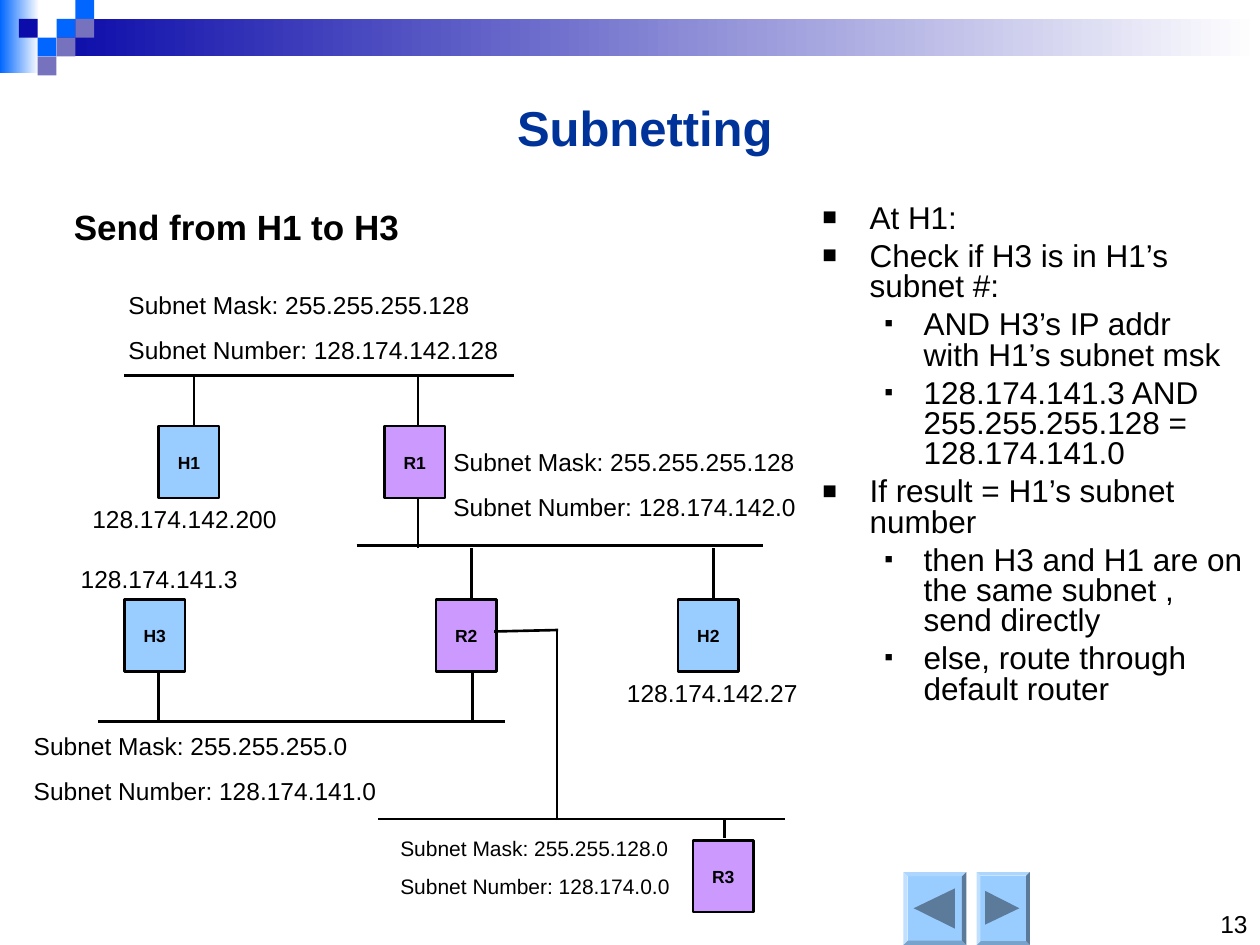
import pptx
import pptx.dml.color
import pptx.enum.shapes
import pptx.enum.text
import pptx.oxml
import pptx.oxml.ns
import pptx.util

Cm, Pt = pptx.util.Cm, pptx.util.Pt
KIND = pptx.enum.shapes.MSO_SHAPE
ALIGN = pptx.enum.text.PP_ALIGN
ANCHOR = pptx.enum.text.MSO_ANCHOR
HUES = {"ink": "000000", "title": "003399", "host": "99CCFF", "router": "CC99FF",
        "arrow": "5C7A99", "navy": "0C0CAA", "blue": "0066FF", "mauve": "7772BE",
        "white": "FFFFFF"}


def hue(name):
    return pptx.dml.color.RGBColor.from_string(HUES[name])


def apply(item, values):
    for key, value in values.items():
        setattr(item, key, value)


class Page:
    """The current slide and the style of what is put on it."""
    font = "Arial"
    line = Pt(1.5)

    def __init__(self, slide):
        self.slide = slide
        self.shapes = slide.shapes

    def label(self, frame, lines, size, color="ink", bold=False, **para):
        """Fill a text frame with one paragraph per line."""
        for i, line in enumerate(lines):
            p = frame.paragraphs[0] if i == 0 else frame.add_paragraph()
            p.text = line
            apply(p, para)
            for run in p.runs:
                apply(run.font, {"name": self.font, "size": Pt(size), "bold": bold})
                run.font.color.rgb = hue(color)

    def title(self, text, *box):
        shape = self.shapes.title
        apply(shape, dict(zip(("left", "top", "width", "height"), map(Cm, box))))
        shape.text_frame.vertical_anchor = ANCHOR.MIDDLE
        self.label(shape.text_frame, [text], 28, "title", True, alignment=ALIGN.CENTER)

    def text(self, lines, box, size=14, wrap=True, anchor=ANCHOR.TOP, **style):
        frame = self.shapes.add_textbox(*map(Cm, box)).text_frame
        apply(frame, {"word_wrap": wrap, "vertical_anchor": anchor})
        self.label(frame, lines, size, **style)
        return frame

    def shape(self, box, color, kind=KIND.RECTANGLE):
        shape = self.shapes.add_shape(kind, *map(Cm, box))
        shape.shadow.inherit = False
        shape.fill.solid()
        shape.fill.fore_color.rgb = hue(color)
        shape.line.fill.background()
        return shape

    def fade(self, box, color):
        """Draw a bar that fades to white on the right."""
        fill = self.shape(box, color).fill
        fill.gradient()
        fill.gradient_angle = 0
        for stop, name, place in zip(fill.gradient_stops, (color, "white"), (0, 1)):
            stop.color.rgb = hue(name)
            stop.position = place

    def node(self, name, x, y):
        shape = self.shape((x, y, 1.22, 1.45), "host" if name[0] == "H" else "router")
        shape.line.color.rgb = hue("ink")
        shape.line.width = self.line
        apply(shape.text_frame, {"word_wrap": False, "vertical_anchor": ANCHOR.MIDDLE})
        self.label(shape.text_frame, [name], 10, bold=True, alignment=ALIGN.CENTER)

    def wire(self, *ends):
        line = self.shapes.add_connector(pptx.enum.shapes.MSO_CONNECTOR.STRAIGHT,
                                         *map(Cm, ends))
        line.line.color.rgb = hue("ink")
        line.line.width = self.line
        props = line._element.spPr
        props.append(props.makeelement(pptx.oxml.ns.qn("a:effectLst"), {}))

    def button(self, box, points):
        """Draw a bevelled button with an arrowhead on it."""
        self.shape(box, "host", KIND.BEVEL).adjustments[0] = 0.07
        ends = [(Cm(x), Cm(y)) for x, y in points]
        build = self.shapes.build_freeform(*ends[0])
        build.add_line_segments(ends[1:])
        head = build.convert_to_shape()
        head.shadow.inherit = False
        head.fill.solid()
        head.fill.fore_color.rgb = hue("arrow")
        head.line.fill.background()

    def bullets(self, items, box):
        """Set (level, text) pairs as a two-level list."""
        frame = self.text([text for _, text in items], box, 18,
                          line_spacing=0.8, space_before=Pt(4.5))
        for (level, _), p in zip(items, frame.paragraphs):
            left, hang, size = ((0.97, 0.97, 150), (2.06, 0.79, 80))[level]
            p.level = level
            props = p._p.get_or_add_pPr()
            props.set("marL", str(Cm(left)))
            props.set("indent", str(-Cm(hang)))
            for tag in (f'buClr {{}}><a:srgbClr val="{HUES["ink"]}"/></a:buClr>',
                        f'buSzPct {{}} val="{size * 1000}"/>',
                        f'buFont {{}} typeface="{self.font}"/>',
                        'buChar {} char="▪"/>'):
                xml = "<a:" + tag.format(pptx.oxml.ns.nsdecls("a"))
                props.append(pptx.oxml.parse_xml(xml))


def main():
    deck = pptx.Presentation()
    apply(deck, {"slide_width": Cm(25.4), "slide_height": Cm(19.05)})
    page = Page(deck.slides.add_slide(deck.slide_layouts[5]))

    # Header band and its checkered squares
    page.fade((0, 0, 0.79, 1.47), "blue")
    page.fade((1.14, 0.38, 24.26, 0.76), "navy")
    side = 0.38
    for col, row, color in ((3, 1, "blue"), (4, 0, "blue"), (4, 1, "mauve"),
                            (2, 2, "blue"), (1, 1, "navy"), (3, 2, "mauve"),
                            (2, 3, "mauve")):
        page.shape((col * side, row * side, side, side), color)

    page.button((18.21, 17.58, 1.27, 1.47),
                ((18.42, 18.31), (19.25, 17.91), (19.25, 18.72)))
    page.button((19.69, 17.58, 1.07, 1.47),
                ((19.86, 17.96), (20.55, 18.31), (19.86, 18.64)))
    page.text(["13"], (20.96, 17.78, 4.44, 1.27), anchor=ANCHOR.BOTTOM,
              alignment=ALIGN.RIGHT)
    page.title("Subnetting", 1.47, 1.83, 23.06, 1.45)
    page.text(["Send from H1 to H3"], (1.24, 4.01, 7.06, 1.12), 20, False, bold=True,
              alignment=ALIGN.CENTER, space_before=Pt(12.5))

    for name, x, y in (("H1", 3.2, 8.59), ("H2", 13.67, 12.09), ("H3", 2.51, 12.09),
                       ("R1", 7.75, 8.59), ("R2", 8.79, 12.09), ("R3", 13.97, 16.94)):
        page.node(name, x, y)

    # Networks: left, right, height
    for left, right, y in ((2.51, 10.36, 7.57), (7.19, 15.39, 11),
                           (1.98, 10.19, 14.55), (7.62, 15.82, 16.51)):
        page.wire(left, y, right, y)
    # Drops to the nodes: place, top, bottom
    for x, top, low in ((3.91, 7.57, 8.59), (8.43, 7.57, 8.59), (8.43, 10.03, 11.05),
                        (9.5, 11.05, 12.09), (14.38, 11.05, 12.09),
                        (3.2, 13.54, 14.55), (9.53, 13.54, 14.57),
                        (11.23, 12.7, 16.51), (14.6, 16.51, 16.89)):
        page.wire(x, top, x, low)
    page.wire(11.25, 12.7, 9.96, 12.73)

    for mask, number, x, y, size in (
            ("255.255.255.128", "128.174.142.128", 2.34, 5.72, 14),
            ("255.255.255.0", "128.174.141.0", 0.43, 14.61, 14),
            ("255.255.255.128", "128.174.142.0", 8.89, 8.89, 14),
            ("255.255.128.0", "128.174.0.0", 7.82, 16.71, 12)):
        page.text([f"Subnet Mask: {mask}", f"Subnet Number: {number}"],
                  (x, y, 9.07, size / 8), size, space_before=Pt(size * 0.63))
    for host, x, y in (("128.174.142.200", 0.94, 10.03), ("128.174.141.3", 0.43, 11.25),
                       ("128.174.142.27", 11.58, 13.54)):
        page.text([host], (x, y, 5.56, 0.86), alignment=ALIGN.CENTER,
                  space_before=Pt(8.8))

    page.bullets(((0, "At H1:"),
                  (0, "Check if H3 is in H1’s subnet #:"),
                  (1, "AND H3’s IP addr \vwith H1’s subnet msk"),
                  (1, "128.174.141.3 AND 255.255.255.128 =\v128.174.141.0"),
                  (0, "If result = H1’s subnet number"),
                  (1, "then H3 and H1 are on the same subnet ,\vsend directly"),
                  (1, "else, route through default router")),
                 (16.31, 4.01, 9.53, 11.43))
    deck.save("out.pptx")


if __name__ == "__main__":
    main()
